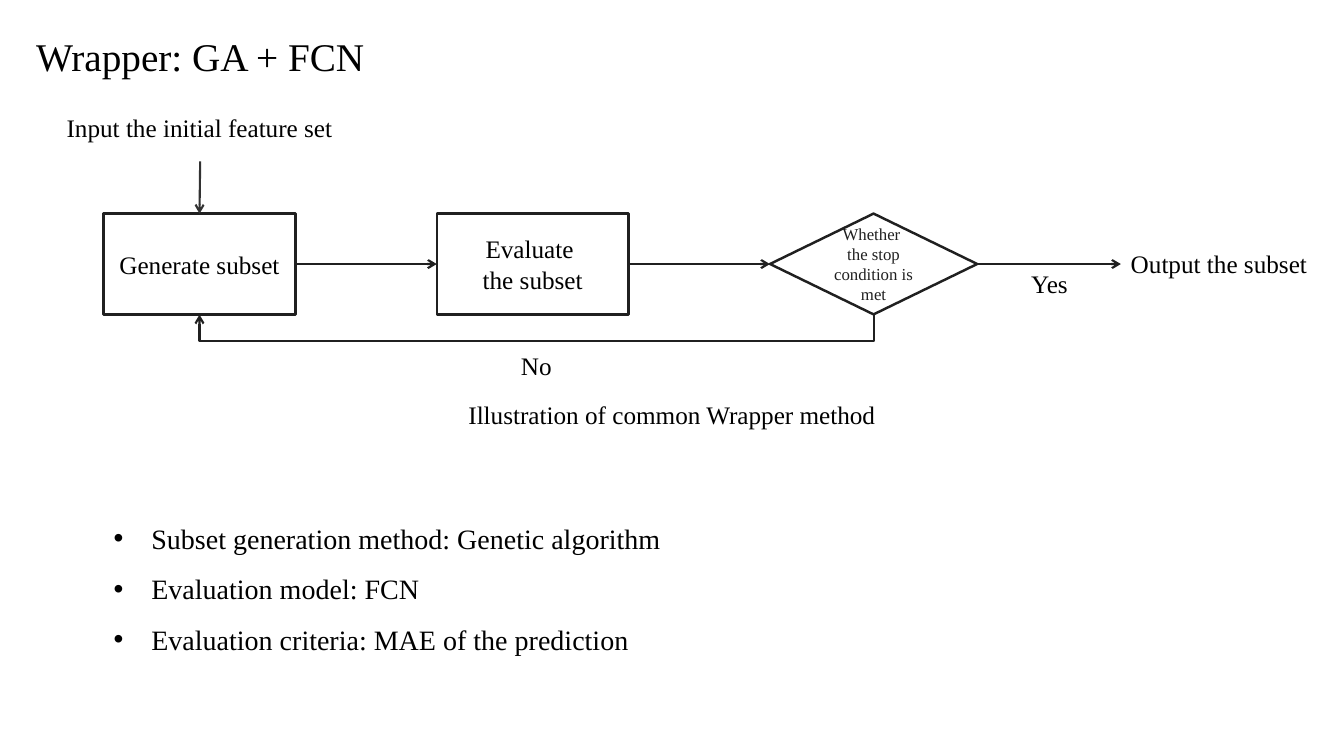
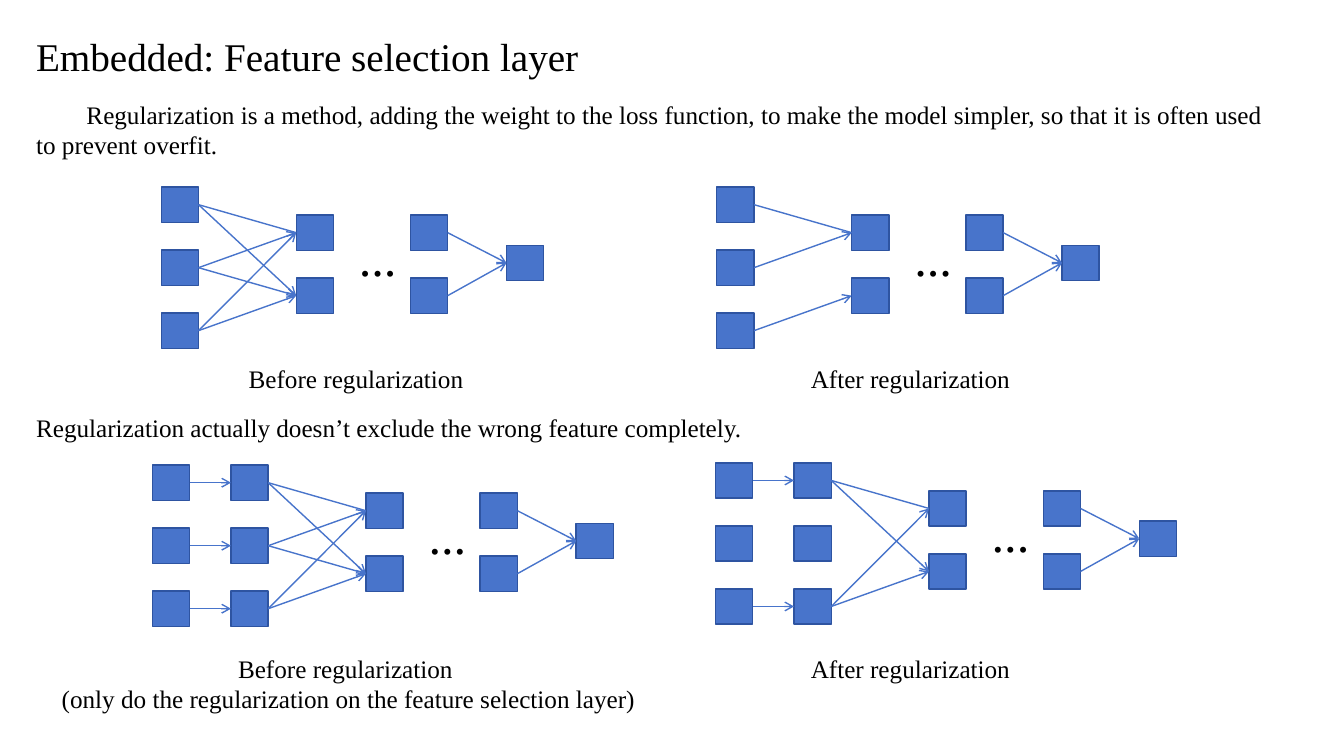
"""Builds two slides on wrapper and embedded feature selection."""
from itertools import product

from pptx import Presentation
from pptx.dml.color import RGBColor
from pptx.enum.shapes import MSO_CONNECTOR, MSO_SHAPE
from pptx.enum.text import MSO_ANCHOR, MSO_AUTO_SIZE, PP_ALIGN
from pptx.oxml.ns import qn
from pptx.oxml.xmlchemy import OxmlElement
from pptx.util import Pt

FONT = "Times New Roman"
BLACK = RGBColor(0x00, 0x00, 0x00)
WHITE = RGBColor(0xFF, 0xFF, 0xFF)
INK = RGBColor(0x20, 0x20, 0x20)
GREY = RGBColor(0x32, 0x32, 0x32)
BLUE = RGBColor(0x48, 0x74, 0xCB)
NAVY = RGBColor(0x2E, 0x54, 0xA1)
RECT, DIAMOND = MSO_SHAPE.RECTANGLE, MSO_SHAPE.DIAMOND
STRAIGHT, ELBOW = MSO_CONNECTOR.STRAIGHT, MSO_CONNECTOR.ELBOW
LEFT, CENTER = PP_ALIGN.LEFT, PP_ALIGN.CENTER
MIDDLE, GROW = MSO_ANCHOR.MIDDLE, MSO_AUTO_SIZE.SHAPE_TO_FIT_TEXT
TOP_SIDE, LEFT_SIDE, BOTTOM_SIDE, RIGHT_SIDE = range(4)

NODE_W, NODE_H, ROW_GAP = 26.6, 25.2, 45
FULL = tuple(product(range(3), range(2)))


class Deck:
    """Holds the style and the current slide."""

    def __init__(self):
        self.prs = Presentation()
        self.prs.slide_width, self.prs.slide_height = Pt(960), Pt(540)
        self.s = None

    def slide(self, title):
        self.s = self.prs.slides.add_slide(self.prs.slide_layouts[6])
        self.text(18.7, 19.5, 480, 41, [title], size=28)

    def fill_text(self, tf, lines, size, color, align):
        tf.word_wrap = True
        for i, line in enumerate(lines):
            p = tf.add_paragraph() if i else tf.paragraphs[0]
            p.alignment = align
            r = p.add_run()
            r.text = line
            r.font.name, r.font.size = FONT, Pt(size)
            r.font.color.rgb = color

    def text(self, x, y, w, h, lines, size=18, align=LEFT, indent=0):
        tf = self.s.shapes.add_textbox(Pt(x), Pt(y), Pt(w), Pt(h)).text_frame
        self.fill_text(tf, lines, size, BLACK, align)
        tf.auto_size = GROW
        if indent:
            tf.paragraphs[0]._p.get_or_add_pPr().set("indent", str(Pt(indent)))
        return tf

    def bullets(self, x, y, w, h, lines):
        tf = self.text(x, y, w, h, lines, size=20)
        for p in tf.paragraphs:
            p.line_spacing = 1.5
            pPr = p._p.get_or_add_pPr()
            pPr.set("marL", str(Pt(27)))
            pPr.set("indent", str(Pt(-27)))
            for tag, key, value in (("a:buFont", "typeface", "Arial"),
                                    ("a:buChar", "char", "•")):
                el = OxmlElement(tag)
                el.set(key, value)
                pPr.append(el)

    def shape(self, kind, x, y, w, h, fill, line, width):
        sp = self.s.shapes.add_shape(kind, Pt(x), Pt(y), Pt(w), Pt(h))
        sp.shadow.inherit = False
        sp.fill.solid()
        sp.fill.fore_color.rgb = fill
        sp.line.color.rgb = line
        sp.line.width = Pt(width)
        return sp

    def step(self, kind, x, w, lines, size=18, color=BLACK):
        sp = self.shape(kind, x, 152.6, w, 72, WHITE, INK, 1.75)
        sp.text_frame.vertical_anchor = MIDDLE
        self.fill_text(sp.text_frame, lines, size, color, CENTER)
        return sp

    def node(self, x, y):
        return self.shape(RECT, x, y, NODE_W, NODE_H, BLUE, NAVY, 1)

    def link(self, start=None, end=None, begin_at=(0, 0), end_at=(0, 0), sides=(RIGHT_SIDE, LEFT_SIDE),
             color=BLUE, width=1, arrow=True, kind=STRAIGHT):
        c = self.s.shapes.add_connector(kind, *map(Pt, begin_at + end_at))
        if start is not None:
            c.begin_connect(start, sides[0])
        if end is not None:
            c.end_connect(end, sides[1])
        c.line.color.rgb = color
        c.line.width = Pt(width)
        if arrow:
            tail = OxmlElement("a:tailEnd")
            tail.set("type", "arrow")
            c.line._get_or_add_ln().append(tail)
        c._element.spPr.append(OxmlElement("a:effectLst"))
        return c

    def loop_back(self, start, end, drop):
        c = self.link(start, end, sides=(BOTTOM_SIDE, BOTTOM_SIDE), color=INK, width=1.5, kind=ELBOW)
        x1, x2 = (sp.left + sp.width // 2 for sp in (end, start))
        y, thin = start.top + start.height, Pt(0.25)
        c.width, c.height = thin, x2 - x1
        c.left, c.top = (x1 + x2 - thin) // 2, y - (x2 - x1) // 2
        spPr = c._element.spPr
        for key, value in (("rot", "5400000"), ("flipH", "0"), ("flipV", "0")):
            spPr.find(qn("a:xfrm")).set(key, value)
        gd = OxmlElement("a:gd")
        gd.set("name", "adj1")
        gd.set("fmla", f"val {round(Pt(drop) / thin * 100000)}")
        spPr.find(qn("a:prstGeom")).find(qn("a:avLst")).append(gd)

    def network(self, x, y, links, selected=None):
        def column(dx, dy, count):
            return [self.node(x + dx, y + dy + i * ROW_GAP) for i in range(count)]

        inputs = column(0, 0, 3)
        hidden = column(96.4, 20, 2)
        last = column(178, 20, 2)
        output = self.node(x + 246.6, y + 41.6)
        self.text(x + 134, y + 24.6, 51, 51, ["..."], size=36)
        for i, j in links:
            self.link(inputs[i], hidden[j], arrow=(i, j) != (0, 0))
        for sp in last:
            self.link(sp, output)
        if selected is not None:
            features = column(-56.2, 0, 3)
            for i in selected:
                self.link(features[i], inputs[i])


def wrapper_slide(d):
    d.slide("Wrapper: GA + FCN")
    generate = d.step(RECT, 74, 137, ["Generate subset"])
    evaluate = d.step(RECT, 312, 137, ["Evaluate ", "the subset"])
    stop = d.step(DIAMOND, 550, 148, ["Whether ", "the stop condition is met"], 12, INK)
    d.link(end=generate, begin_at=(143, 115.2), sides=(None, TOP_SIDE), color=GREY, width=1.5)
    d.link(generate, evaluate, color=INK, width=1.5)
    d.link(evaluate, stop, color=INK, width=1.5)
    d.link(stop, end_at=(800.6, 188.6), color=INK, width=1.5)
    d.loop_back(stop, generate, 18.85)
    d.text(11.5, 77, 262, 29, ["Input the initial feature set"], align=CENTER)
    d.text(800.6, 173.5, 159, 29, ["Output the subset"])
    d.text(729.4, 188.2, 60, 29, ["Yes"])
    d.text(365, 247, 60, 29, ["No"])
    d.text(320, 282, 320, 29, ["Illustration of common Wrapper method"], align=CENTER)
    d.bullets(74, 357, 611, 116, ["Subset generation method: Genetic algorithm",
                                  "Evaluation model: FCN",
                                  "Evaluation criteria: MAE of the prediction"])


def embedded_slide(d):
    d.slide("Embedded: Feature selection layer")
    d.text(18.7, 67.5, 897, 51, [
        "Regularization is a method, adding the weight to the loss function, to make the "
        "model simpler, so that it is often used to prevent overfit."], indent=36)
    d.network(115.2, 133.6, FULL)
    d.network(512, 133.6, ((0, 0), (1, 0), (2, 1)))
    d.text(18.7, 291, 584, 29, ["Regularization actually doesn’t exclude the wrong feature completely."])
    d.network(165, 332.2, FULL, range(3))
    d.network(567.2, 330.6, tuple(product((0, 2), range(2))), (0, 2))
    d.text(147, 255.6, 214.6, 29, ["Before regularization"], align=CENTER)
    for y in (255.6, 463):
        d.text(543, y, 214.6, 29, ["After regularization"], align=CENTER)
    d.text(0, 463, 498, 51, ["Before regularization ",
                             "(only do the regularization on the feature selection layer)"], align=CENTER)


def main():
    d = Deck()
    wrapper_slide(d)
    embedded_slide(d)
    d.prs.save("out.pptx")


if __name__ == "__main__":
    main()
